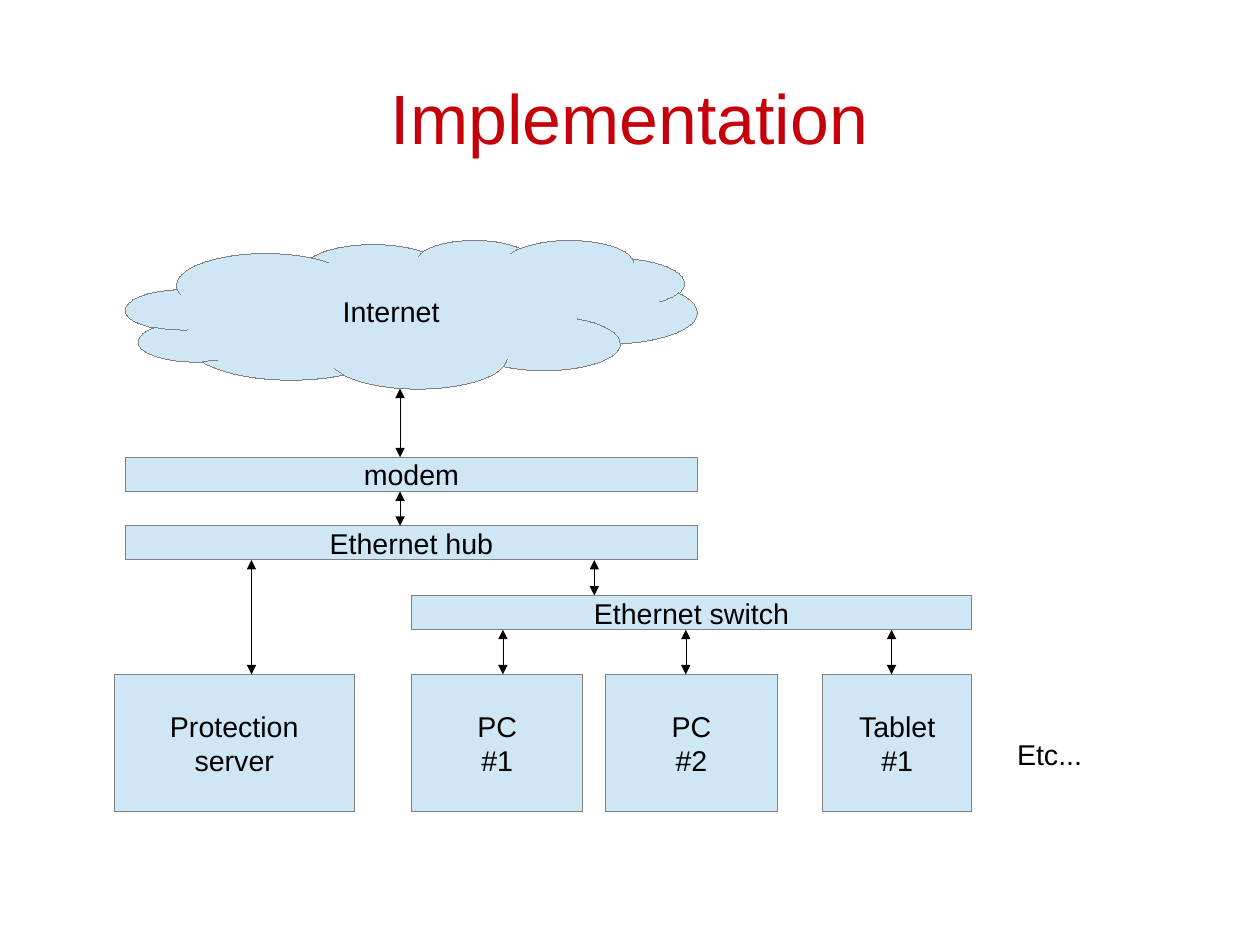
from dataclasses import dataclass

from lxml.etree import SubElement
from pptx import Presentation
from pptx.dml.color import RGBColor
from pptx.enum.shapes import MSO_CONNECTOR, MSO_SHAPE
from pptx.enum.text import MSO_ANCHOR, MSO_AUTO_SIZE, PP_ALIGN
from pptx.oxml.ns import qn
from pptx.util import Inches, Pt

TITLE = "Implementation"
MORE_DEVICES = "Etc..."

# 28 by 21 centimetres
SLIDE_WIDTH, SLIDE_HEIGHT = 28 / 2.54, 21 / 2.54
BAR_HEIGHT = 0.3
DEVICE_TOP, DEVICE_HEIGHT = 5.9, 1.2

# key: (text, left, top, width, height)
NODES = {
    "internet": ("Internet", 1.1, 2.1, 5, 1.3),
    "modem": ("modem", 1.1, 4, 5, BAR_HEIGHT),
    "hub": ("Ethernet hub", 1.1, 4.6, 5, BAR_HEIGHT),
    "switch": ("Ethernet switch", 3.6, 5.21, 4.9, BAR_HEIGHT),
    "server": ("Protection\nserver", 1, DEVICE_TOP, 2.1, DEVICE_HEIGHT),
    "pc1": ("PC\n#1", 3.6, DEVICE_TOP, 1.5, DEVICE_HEIGHT),
    "pc2": ("PC\n#2", 5.3, DEVICE_TOP, 1.5, DEVICE_HEIGHT),
    "tablet": ("Tablet\n#1", 7.2, DEVICE_TOP, 1.3, DEVICE_HEIGHT),
}

# (upper node, lower node, x)
LINKS = [
    ("internet", "modem", 3.5),
    ("modem", "hub", 3.5),
    ("hub", "server", 2.2),
    ("hub", "switch", 5.2),
    ("switch", "pc1", 4.4),
    ("switch", "pc2", 6),
    ("switch", "tablet", 7.8),
]


@dataclass(frozen=True)
class Theme:
    font: str = "Arial"
    title_size: int = 44
    label_size: int = 18
    hairline: float = 0.01
    title: RGBColor = RGBColor(0xC5, 0x00, 0x0B)
    ink: RGBColor = RGBColor(0x00, 0x00, 0x00)
    fill: RGBColor = RGBColor(0xCF, 0xE7, 0xF5)
    outline: RGBColor = RGBColor(0x80, 0x80, 0x80)


THEME = Theme()


def write(frame, text, size, color, align):
    frame.text = text
    for paragraph in frame.paragraphs:
        paragraph.alignment = align
        for run in paragraph.runs:
            run.font.name = THEME.font
            run.font.size = Pt(size)
            run.font.color.rgb = color


def set_hairline(line, color):
    line.color.rgb = color
    line.width = Pt(THEME.hairline)


def add_title(slide):
    title = slide.shapes.title
    title.left, title.top = Inches(0.55), Inches(0.33)
    title.width, title.height = Inches(9.92), Inches(1.38)
    frame = title.text_frame
    frame.margin_left = frame.margin_right = 0
    frame.margin_top = frame.margin_bottom = 0
    frame.vertical_anchor = MSO_ANCHOR.MIDDLE
    frame.auto_size = MSO_AUTO_SIZE.NONE
    write(frame, TITLE, THEME.title_size, THEME.title, PP_ALIGN.CENTER)


def add_node(slide, preset, text, *box):
    node = slide.shapes.add_shape(preset, *map(Inches, box))
    node.shadow.inherit = False
    node.fill.solid()
    node.fill.fore_color.rgb = THEME.fill
    set_hairline(node.line, THEME.outline)
    frame = node.text_frame
    frame.word_wrap = False
    frame.vertical_anchor = MSO_ANCHOR.MIDDLE
    write(frame, text, THEME.label_size, THEME.ink, PP_ALIGN.CENTER)


def add_link(slide, upper, lower, x):
    """Draw a two-headed arrow from the top of one node to the foot of another."""
    _, _, upper_top, _, upper_height = NODES[upper]
    lower_top = NODES[lower][2]
    ends = (x, lower_top, x, upper_top + upper_height)
    link = slide.shapes.add_connector(MSO_CONNECTOR.STRAIGHT, *map(Inches, ends))
    set_hairline(link.line, THEME.ink)
    outline = link._element.spPr.find(qn("a:ln"))
    for end in ("a:headEnd", "a:tailEnd"):
        SubElement(outline, qn(end), type="triangle")
    SubElement(link._element.spPr, qn("a:effectLst"))


def add_more_devices(slide):
    box = (8.8, 6.4, 0.77, 0.38)
    frame = slide.shapes.add_textbox(*map(Inches, box)).text_frame
    frame.word_wrap = False
    write(frame, MORE_DEVICES, THEME.label_size, THEME.ink, PP_ALIGN.LEFT)


def main():
    deck = Presentation()
    deck.slide_width = Inches(SLIDE_WIDTH)
    deck.slide_height = Inches(SLIDE_HEIGHT)
    slide = deck.slides.add_slide(deck.slide_layouts.get_by_name("Title Only"))
    add_title(slide)
    for key, node in NODES.items():
        preset = MSO_SHAPE.CLOUD if key == "internet" else MSO_SHAPE.RECTANGLE
        add_node(slide, preset, *node)
    for link in LINKS:
        add_link(slide, *link)
    add_more_devices(slide)
    deck.save("out.pptx")


if __name__ == "__main__":
    main()
